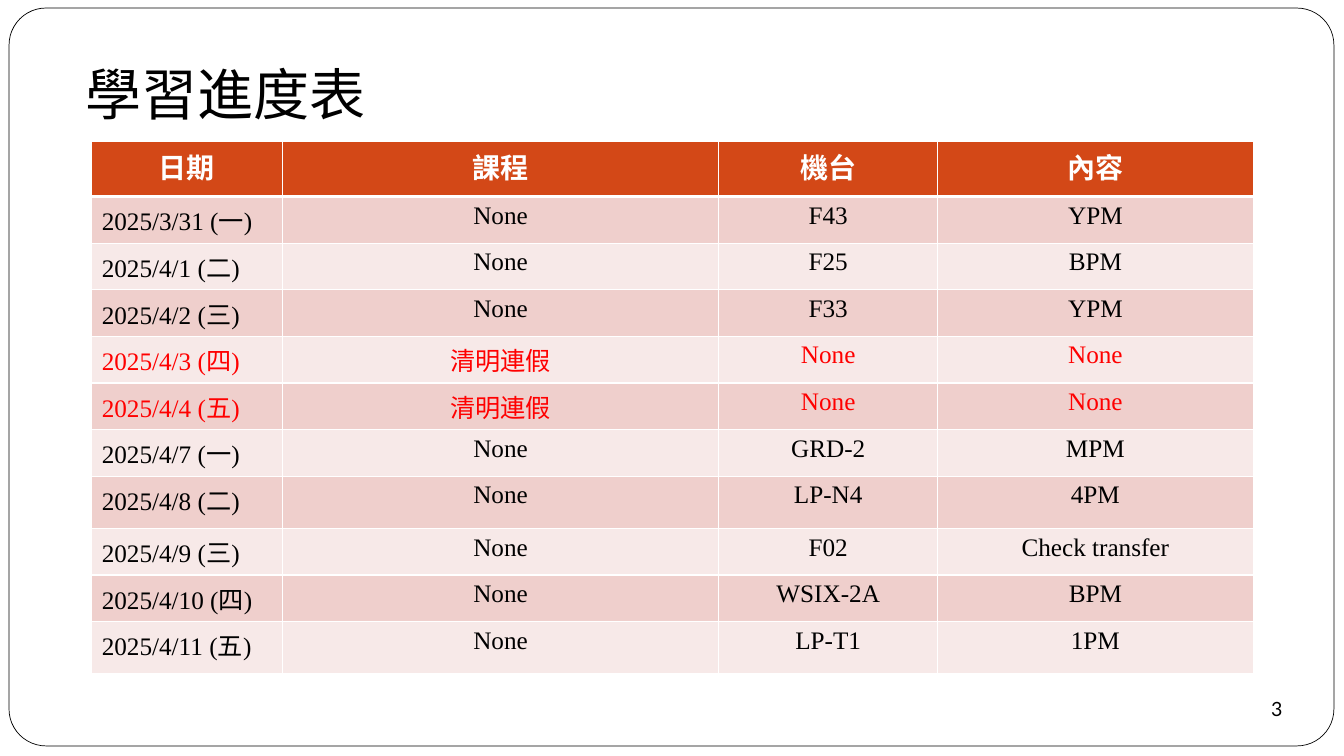
from lxml.etree import SubElement
from pptx import Presentation
from pptx.dml.color import RGBColor
from pptx.enum.shapes import MSO_SHAPE
from pptx.enum.text import MSO_ANCHOR, PP_ALIGN
from pptx.oxml.ns import qn
from pptx.util import Inches, Pt

CJK_FONT = "Noto Sans CJK SC"
HEADER_FILL, BANDS = "D34817", ("EFCFCC", "F7E9E8")
HEADER_FORMAT = {"name": "Times New Roman", "size": Pt(20), "bold": True}
BODY_FORMAT = {"name": "Times New Roman", "size": Pt(18), "bold": False}
TITLE_FORMAT = {"name": CJK_FONT, "size": Pt(40)}
NUMBER_FORMAT = {"name": "Lato", "size": Pt(14)}

COLUMN_WIDTHS = (1.89, 4.33, 2.17, 3.13)
HEADER_HEIGHT, ROW_HEIGHT, TALL_ROW_HEIGHT = 0.55, 0.46, 0.52
TALL_DATES = ("2025/4/8 (二)", "2025/4/11 (五)")
HOLIDAY = "清明連假"
HEADER = ("日期", "課程", "機台", "內容")
SCHEDULE = (
    ("2025/3/31 (一)", "None", "F43", "YPM"),
    ("2025/4/1 (二)", "None", "F25", "BPM"),
    ("2025/4/2 (三)", "None", "F33", "YPM"),
    ("2025/4/3 (四)", HOLIDAY, "None", "None"),
    ("2025/4/4 (五)", HOLIDAY, "None", "None"),
    ("2025/4/7 (一)", "None", "GRD-2", "MPM"),
    ("2025/4/8 (二)", "None", "LP-N4", "4PM"),
    ("2025/4/9 (三)", "None", "F02", "Check transfer"),
    ("2025/4/10 (四)", "None", "WSIX-2A", "BPM"),
    ("2025/4/11 (五)", "None", "LP-T1", "1PM"),
)


def rgb(value):
    return RGBColor.from_string(value)


def write(tf, text, formats, color="000000", align=PP_ALIGN.CENTER):
    p = tf.paragraphs[0]
    p.alignment = align
    r = p.add_run()
    r.text = text
    for name, value in formats.items():
        setattr(r.font, name, value)
    r.font.color.rgb = rgb(color)
    SubElement(r.font._element, qn("a:ea"), typeface=CJK_FONT)


def add_plain_shape(s, kind, left, top, width, height):
    sp = s.shapes.add_shape(kind, Inches(left), Inches(top), Inches(width), Inches(height))
    sp.shadow.inherit = False
    sp.fill.solid()
    sp.fill.fore_color.rgb = rgb("FFFFFF")
    sp.line.fill.background()
    return sp


def add_frame(s):
    sp = add_plain_shape(s, MSO_SHAPE.ROUNDED_RECTANGLE, 0.09, 0.08, 13.14, 7.32)
    sp.adjustments[0] = 0.05
    sp.line.color.rgb = rgb("000000")
    sp.line.width = Pt(0.5)


def add_page_number(s, number):
    sp = add_plain_shape(s, MSO_SHAPE.OVAL, 12.33, 6.78, 0.67, 0.5)
    tf = sp.text_frame
    for side in ("left", "top", "right", "bottom"):
        setattr(tf, f"margin_{side}", 0)
    tf.word_wrap = False
    tf.vertical_anchor = MSO_ANCHOR.MIDDLE
    write(tf, number, NUMBER_FORMAT)


def add_title(s, text):
    box = s.shapes.add_textbox(Inches(0.65), Inches(0.54), Inches(3.18), Inches(0.77))
    box.text_frame.word_wrap = True
    write(box.text_frame, text, TITLE_FORMAT)


def set_borders(cell, bottom_width):
    """Draw white cell borders; they must precede the fill in the cell properties."""
    tc_pr = cell._tc.get_or_add_tcPr()
    for side, width in (("L", 1), ("R", 1), ("T", 1), ("B", bottom_width)):
        ln = SubElement(tc_pr, qn(f"a:ln{side}"), w=str(Pt(width)))
        SubElement(SubElement(ln, qn("a:solidFill")), qn("a:srgbClr"), val="FFFFFF")


def fill_row(table, row, texts, fill, formats, color, bottom_width=1):
    for col, text in enumerate(texts):
        cell = table.cell(row, col)
        set_borders(cell, bottom_width)
        cell.fill.solid()
        cell.fill.fore_color.rgb = rgb(fill)
        is_date = row > 0 and col == 0
        align = PP_ALIGN.LEFT if is_date else PP_ALIGN.CENTER
        write(cell.text_frame, text, formats, color, align)


def add_schedule(s):
    heights = [HEADER_HEIGHT] + [
        TALL_ROW_HEIGHT if row[0] in TALL_DATES else ROW_HEIGHT for row in SCHEDULE
    ]
    table = s.shapes.add_table(
        len(heights), len(COLUMN_WIDTHS), Inches(0.91), Inches(1.4),
        Inches(sum(COLUMN_WIDTHS)), Inches(sum(heights)),
    ).table
    for column, width in zip(table.columns, COLUMN_WIDTHS):
        column.width = Inches(width)
    for row, height in zip(table.rows, heights):
        row.height = Inches(height)
    fill_row(table, 0, HEADER, HEADER_FILL, HEADER_FORMAT, "FFFFFF", bottom_width=3)
    for i, texts in enumerate(SCHEDULE):
        color = "FF0000" if HOLIDAY in texts else "000000"
        fill_row(table, i + 1, texts, BANDS[i % 2], BODY_FORMAT, color,)


def main():
    prs = Presentation()
    prs.slide_width, prs.slide_height = Inches(13.33), Inches(7.5)
    s = prs.slides.add_slide(prs.slide_layouts[6])
    add_frame(s)
    add_page_number(s, "3")
    add_schedule(s)
    add_title(s, "學習進度表")
    prs.save("out.pptx")


if __name__ == "__main__":
    main()
